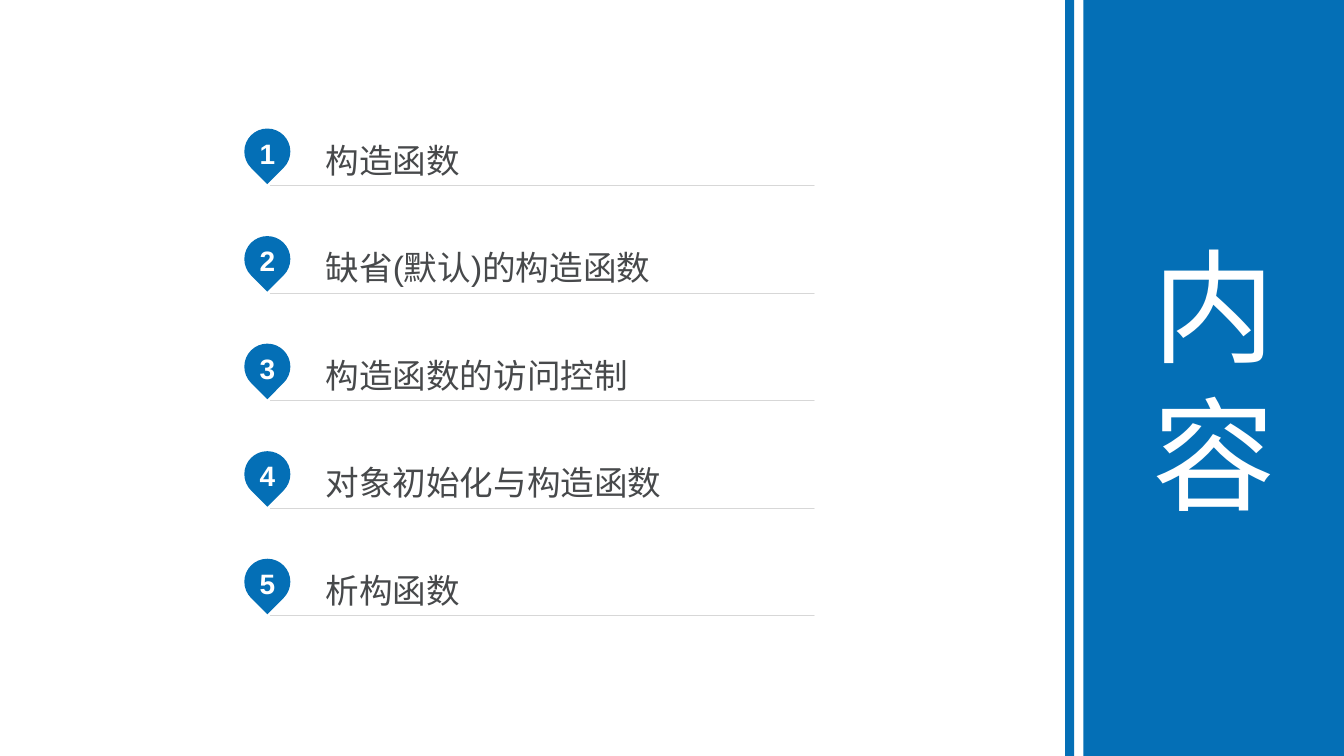
from math import cos, radians, sin, sqrt, tan

from lxml.etree import SubElement
from pptx import Presentation
from pptx.dml.color import RGBColor
from pptx.enum.shapes import MSO_SHAPE
from pptx.enum.text import MSO_ANCHOR, PP_ALIGN
from pptx.oxml.ns import qn
from pptx.util import Cm, Pt

BLUE = RGBColor(0x04, 0x6F, 0xB6)
WHITE = RGBColor(0xFF, 0xFF, 0xFF)
TEXT_GRAY = RGBColor(0x47, 0x49, 0x4B)
LINE_GRAY = RGBColor(0xD7, 0xD7, 0xD7)

TOPICS = ["构造函数", "缺省(默认)的构造函数", "构造函数的访问控制",
          "对象初始化与构造函数", "析构函数"]
PIN_X, FIRST_PIN_Y, PIN_RADIUS = 6.74, 3.82, 0.58
PIN_ANGLES = [135, 180, 270, 360, 405]
ROW_PITCH = 2.71
TOPIC_LEFT, TOPIC_WIDTH, TOPIC_HEIGHT = 6.81, 13.72, 1.4


def fill_blue(shape):
    shape.shadow.inherit = False
    shape.fill.solid()
    shape.fill.fore_color.rgb = BLUE
    shape.line.fill.background()


def write(shape, text, size, color, align, bold=False):
    frame = shape.text_frame
    frame.text = text
    frame.word_wrap = True
    frame.vertical_anchor = MSO_ANCHOR.MIDDLE
    para = frame.paragraphs[0]
    para.alignment = align
    font = para.runs[0].font
    font.name, font.size, font.bold = "Arial", Pt(size), bold
    font.color.rgb = color
    return frame


deck = Presentation()
deck.slide_width, deck.slide_height = Cm(33.88), Cm(19.05)
page = deck.slides.add_slide(deck.slide_layouts[6])

# Numbered topics
for row, topic in enumerate(TOPICS):
    pin_y = FIRST_PIN_Y + row * ROW_PITCH

    # Pin: three quarters of a circle closed by a tip below
    corners = [(PIN_X + PIN_RADIUS * cos(radians(angle)),
                pin_y + PIN_RADIUS * sin(radians(angle)))
               for angle in PIN_ANGLES]
    tip = (PIN_X, pin_y + PIN_RADIUS * sqrt(2))
    outline = [(Cm(x), Cm(y)) for x, y in corners + [tip]]
    builder = page.shapes.build_freeform(*outline[0])
    builder.add_line_segments(outline[1:], close=True)
    pin = builder.convert_to_shape()

    # Round the pin: each circle segment becomes a Bezier curve
    segments = list(pin.element.iter(qn("a:lnTo")))
    for index, segment in enumerate(segments[:len(PIN_ANGLES) - 1]):
        start, end = (radians(angle) for angle in PIN_ANGLES[index:index + 2])
        reach = PIN_RADIUS * 4 / 3 * tan((end - start) / 4)
        (x1, y1), (x2, y2) = corners[index:index + 2]
        handles = [(x1 - reach * sin(start), y1 + reach * cos(start)),
                   (x2 + reach * sin(end), y2 - reach * cos(end)), (x2, y2)]
        segment.tag = qn("a:cubicBezTo")
        segment.remove(segment[0])
        for x, y in handles:
            SubElement(segment, qn("a:pt"), x=str(Cm(x) - pin.left),
                       y=str(Cm(y) - pin.top))

    fill_blue(pin)
    frame = write(pin, str(row + 1), 20, WHITE, PP_ALIGN.CENTER, bold=True)
    frame.margin_bottom = Cm(0.3)

    # Topic: a rule along the bottom, with an empty contour as the top edge
    left, right = Cm(TOPIC_LEFT), Cm(TOPIC_LEFT + TOPIC_WIDTH)
    top, bottom = Cm(pin_y - 0.55), Cm(pin_y - 0.55 + TOPIC_HEIGHT)
    builder = page.shapes.build_freeform(left, bottom)
    builder.add_line_segments([(right, bottom), (left, bottom)], close=True)
    builder.move_to(left, top)
    builder.add_line_segments([(left, top), (left, top)], close=True)
    ruled_topic = builder.convert_to_shape()
    ruled_topic.shadow.inherit = False
    ruled_topic.fill.background()
    ruled_topic.line.color.rgb = LINE_GRAY
    ruled_topic.line.width = Pt(0.25)
    frame = write(ruled_topic, topic, 24, TEXT_GRAY, PP_ALIGN.LEFT)
    frame.margin_left, frame.margin_bottom = Cm(1.4), Cm(0.1)
    frame.margin_top = frame.margin_right = 0
    frame.paragraphs[0].line_spacing = 1.2

# Title panel and the slim bar beside it
for left, top, width, title in [(27.31, 0, 6.6, "内容"),
                                (26.85, -0.05, 0.23, None)]:
    panel = page.shapes.add_shape(MSO_SHAPE.RECTANGLE, Cm(left), Cm(top),
                                  Cm(width), Cm(19.05 - top))
    fill_blue(panel)
    if title:
        write(panel, title, 88, WHITE, PP_ALIGN.CENTER)

deck.save("out.pptx")
